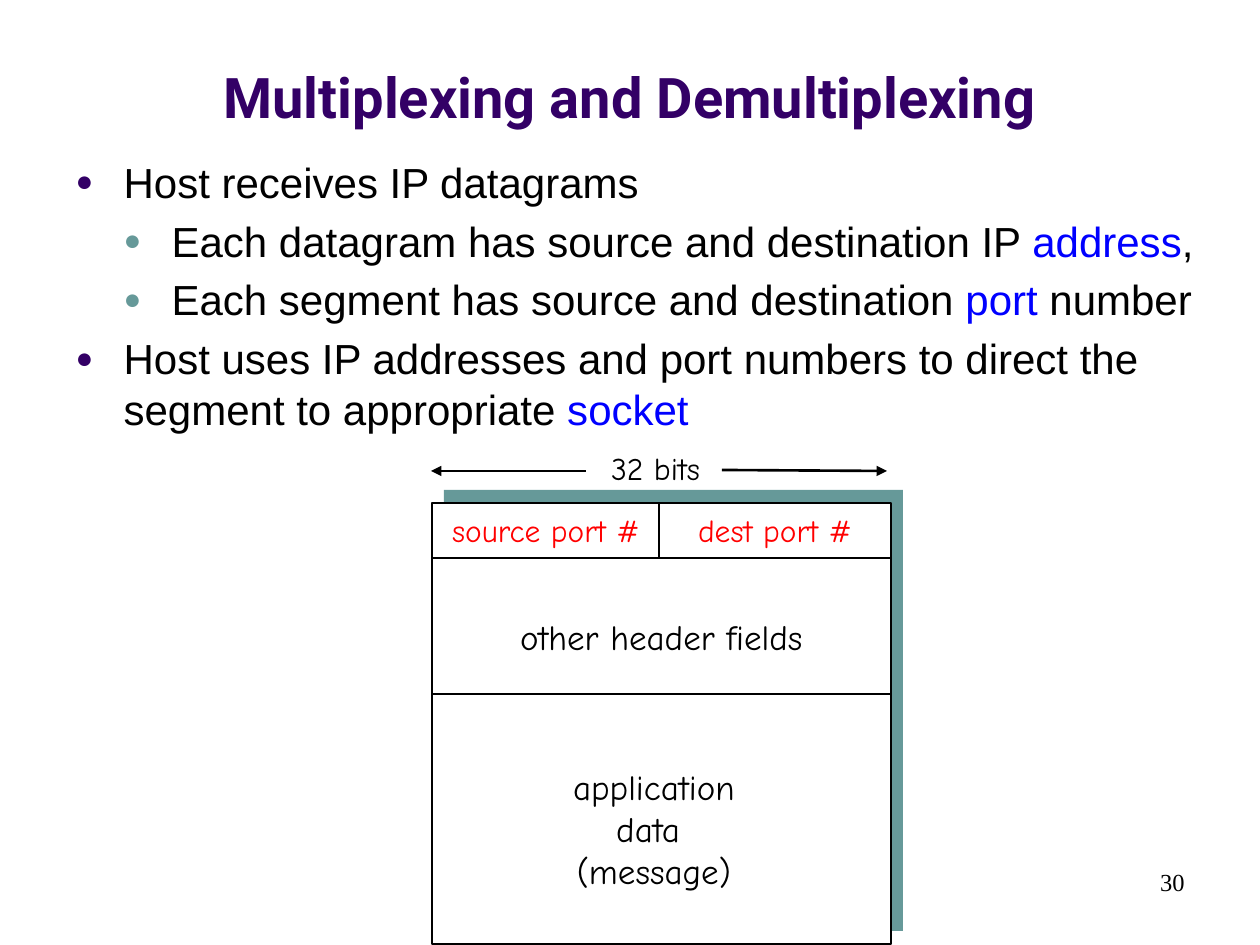
"""Build a slide on multiplexing with a segment format diagram."""
from typing import NamedTuple

from lxml.etree import SubElement
from pptx import Presentation
from pptx.dml.color import RGBColor
from pptx.enum.shapes import MSO_CONNECTOR, MSO_SHAPE
from pptx.enum.text import MSO_ANCHOR, MSO_AUTO_SIZE, PP_ALIGN
from pptx.oxml.ns import qn
from pptx.util import Pt

EMU_PER_PX = 914400 / 126
PURPLE = RGBColor(0x33, 0x00, 0x66)
TEAL = RGBColor(0x66, 0x99, 0x99)
BLUE = RGBColor(0x00, 0x00, 0xFF)
RED = RGBColor(0xFF, 0x00, 0x00)
BLACK = RGBColor(0x00, 0x00, 0x00)
WHITE = RGBColor(0xFF, 0xFF, 0xFF)
INDENT = 48


class Area(NamedTuple):
    left: int
    top: int
    width: int
    height: int


class Bullet(NamedTuple):
    level: int
    before: str
    key: str = ""
    after: str = ""


class Label(NamedTuple):
    area: Area
    lines: tuple[str, ...]
    size: int = 18
    color: RGBColor = BLACK


class Rule(NamedTuple):
    start: tuple[int, int]
    end: tuple[int, int]
    arrow: bool = False


PACKET = Area(432, 503, 459, 441)
SHADOW = Area(444, 490, 459, 441)
RIGHT = PACKET.left + PACKET.width
PORTS_BOTTOM, HEADER_BOTTOM, PORTS_MIDDLE = 558, 694, 659

BULLETS = (
    Bullet(0, "Host receives IP datagrams"),
    Bullet(1, "Each datagram has source and destination IP ", "address", ","),
    Bullet(1, "Each segment has source and destination ", "port", " number"),
    Bullet(0, "Host uses IP addresses and port numbers to direct the segment to appropriate ", "socket"),
)
LABELS = (
    Label(Area(431, 505, 230, 50), ("source port #",), color=RED),
    Label(Area(675, 505, 200, 50), ("dest port #",), color=RED),
    Label(Area(590, 443, 131, 50), ("32 bits",)),
    Label(Area(489, 609, 345, 54), ("other header fields",), size=20),
    Label(Area(554, 759, 200, 138), ("application", "data ", "(message)"), size=20),
)
RULES = (
    Rule((PACKET.left, PORTS_BOTTOM), (RIGHT, PORTS_BOTTOM)),
    Rule((PACKET.left, HEADER_BOTTOM), (RIGHT, HEADER_BOTTOM)),
    Rule((PORTS_MIDDLE, PORTS_BOTTOM), (PORTS_MIDDLE, PACKET.top)),
    Rule((722, 470), (887, 471), arrow=True),
    Rule((586, 471), (431, 471), arrow=True),
)


def px(length: int) -> int:
    """Convert pixels to EMU."""
    return round(length * EMU_PER_PX)


def place(shape, area: Area) -> None:
    """Move and size a shape."""
    shape.left, shape.top, shape.width, shape.height = map(px, area)


def add_text(para, text: str, *, size: int, font: str, color: RGBColor = BLACK, bold: bool = False) -> None:
    """Append a formatted span to a paragraph."""
    span = para.add_run()
    span.text = text
    span.font.size = Pt(size)
    span.font.name = font
    span.font.bold = bold
    span.font.color.rgb = color


def add_bullet(para, bullet: Bullet) -> None:
    """Write one list item with its coloured bullet."""
    para.level = bullet.level
    properties = para._p.get_or_add_pPr()
    properties.set("marL", str(px(INDENT * (bullet.level + 1))))
    properties.set("indent", str(-px(INDENT)))
    color = SubElement(properties, qn("a:buClr"))
    SubElement(color, qn("a:srgbClr"), val=str(TEAL if bullet.level else PURPLE))
    SubElement(properties, qn("a:buSzPct"), val="70000")
    SubElement(properties, qn("a:buFont"), typeface="Arial")
    SubElement(properties, qn("a:buChar"), char="●")
    for text, tint in ((bullet.before, BLACK), (bullet.key, BLUE), (bullet.after, BLACK)):
        if text:
            add_text(para, text, size=24, font="Arial", color=tint)


def add_rectangle(page, area: Area, fill: RGBColor, outlined: bool = False) -> None:
    """Draw a filled rectangle, with a black outline if wanted."""
    box = page.shapes.add_shape(MSO_SHAPE.RECTANGLE, *map(px, area))
    box.shadow.inherit = False
    box.fill.solid()
    box.fill.fore_color.rgb = fill
    if outlined:
        box.line.color.rgb = BLACK
        box.line.width = Pt(1.5)
    else:
        box.line.fill.background()


def add_rule(page, rule: Rule) -> None:
    """Draw a straight line, with an arrowhead at its end if wanted."""
    line = page.shapes.add_connector(MSO_CONNECTOR.STRAIGHT, *map(px, rule.start + rule.end))
    line.line.color.rgb = BLACK
    line.line.width = Pt(1.5)
    if rule.arrow:
        SubElement(line.line._get_or_add_ln(), qn("a:tailEnd"), type="triangle")
    SubElement(line._element.spPr, qn("a:effectLst"))


def add_label(page, label: Label) -> None:
    """Add a centred diagram label."""
    box = page.shapes.add_textbox(*map(px, label.area))
    frame = box.text_frame
    frame.word_wrap = False
    frame.auto_size = MSO_AUTO_SIZE.SHAPE_TO_FIT_TEXT
    for index, text in enumerate(label.lines):
        para = frame.add_paragraph() if index else frame.paragraphs[0]
        para.alignment = PP_ALIGN.CENTER
        add_text(para, text, size=label.size, font="Comic Neue", color=label.color)


def main() -> None:
    """Build and save the deck."""
    deck = Presentation()
    deck.slide_width, deck.slide_height = px(1260), px(945)
    page = deck.slides.add_slide(deck.slide_layouts[1])

    title = page.shapes.title
    place(title, Area(0, 16, 1260, 120))
    title.text_frame.auto_size = MSO_AUTO_SIZE.NONE
    title.text_frame.vertical_anchor = MSO_ANCHOR.BOTTOM
    heading = title.text_frame.paragraphs[0]
    heading.alignment = PP_ALIGN.CENTER
    add_text(heading, "Multiplexing and Demultiplexing", size=32, font="Roboto", color=PURPLE, bold=True)

    body = page.placeholders[1]
    place(body, Area(63, 150, 1176, 696))
    frame = body.text_frame
    frame.auto_size = MSO_AUTO_SIZE.NONE
    for index, bullet in enumerate(BULLETS):
        add_bullet(frame.add_paragraph() if index else frame.paragraphs[0], bullet)

    number = page.shapes.add_textbox(*map(px, Area(903, 861, 294, 63)))
    number.text_frame.word_wrap = True
    para = number.text_frame.paragraphs[0]
    para.alignment = PP_ALIGN.RIGHT
    add_text(para, "30", size=14, font="Times New Roman")

    add_rectangle(page, SHADOW, TEAL)
    add_rectangle(page, PACKET, WHITE, outlined=True)
    for rule in RULES:
        add_rule(page, rule)
    for label in LABELS:
        add_label(page, label)
    deck.save("out.pptx")


if __name__ == "__main__":
    main()
